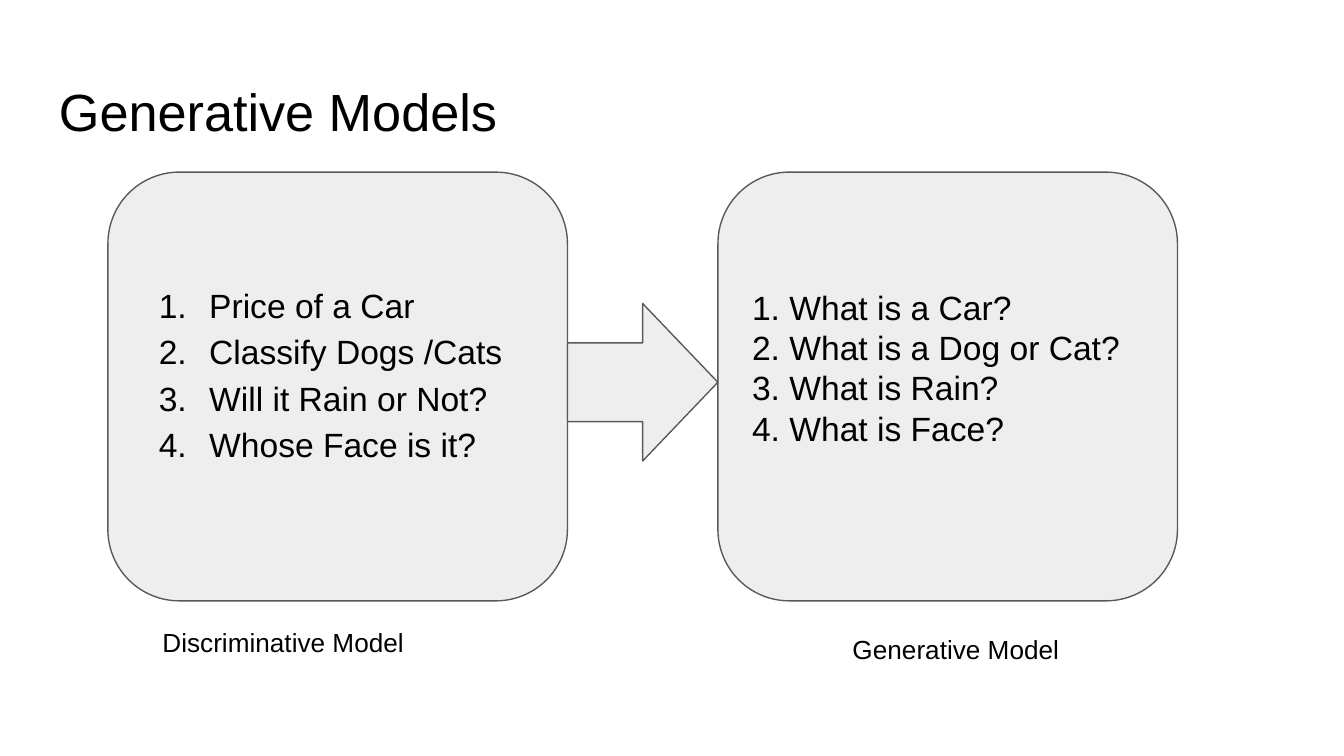
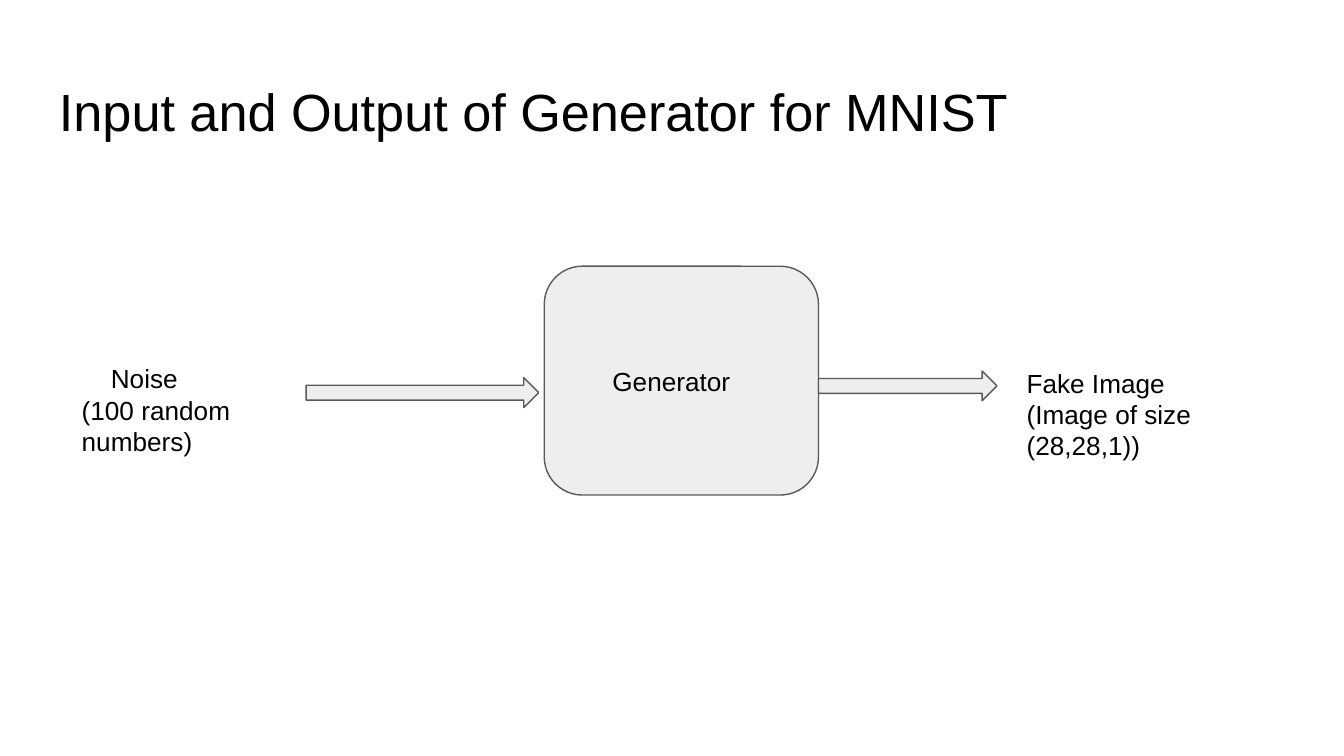
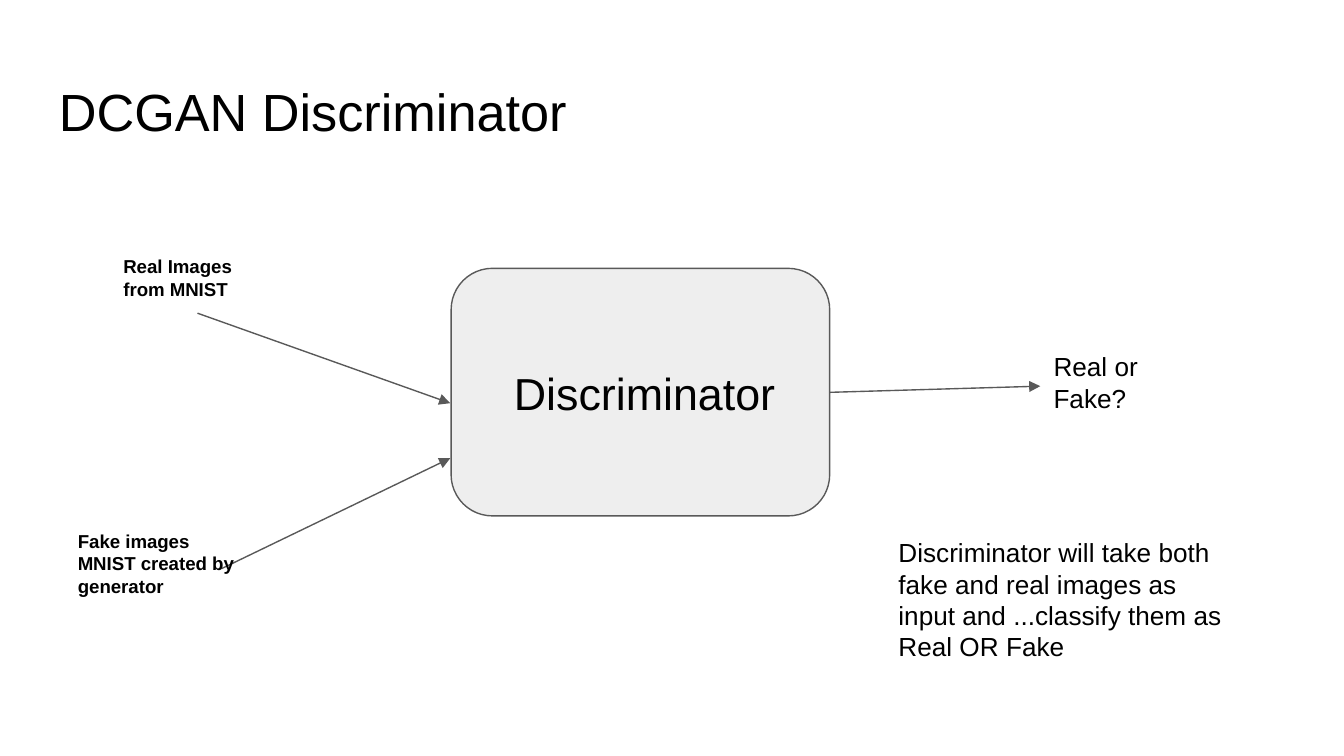
from dataclasses import dataclass

from lxml import etree
from pptx import Presentation
from pptx.dml.color import RGBColor
from pptx.enum import shapes, text
from pptx.oxml import ns
from pptx.util import Pt


@dataclass(frozen=True)
class Theme:
    font: str = "Arial"
    ink: str = "000000"
    fill: str = "EEEEEE"
    line: str = "595959"
    paper: str = "FFFFFF"
    line_width: float = 0.75
    inset: float = 7.2
    title: int = 28
    heading: int = 24
    items: int = 18
    label: int = 14
    small: int = 10


THEME = Theme()


def add_xml(parent, tag, **attributes):
    return etree.SubElement(parent, ns.qn(tag), attributes)


def number_paragraph(paragraph, margin=36, hanging=27):
    properties = paragraph._p.get_or_add_pPr()
    properties.set("marL", str(Pt(margin)))
    properties.set("indent", str(-Pt(hanging)))
    colour = add_xml(properties, "a:buClr")
    add_xml(colour, "a:srgbClr", val=THEME.ink)
    add_xml(properties, "a:buFont", typeface=THEME.font)
    add_xml(properties, "a:buAutoNum", type="arabicPeriod")


def write(shape, lines, size=THEME.label, bold=False, indent=0, numbered=False,
          spacing=1.0, anchor=text.MSO_ANCHOR.TOP, space_below=0):
    """Fill a shape with paragraphs; indent moves the first line of the text."""
    frame = shape.text_frame
    frame.word_wrap = True
    frame.vertical_anchor = anchor
    frame.margin_left = frame.margin_right = frame.margin_top = Pt(THEME.inset)
    frame.margin_bottom = Pt(THEME.inset + space_below)
    for index, line in enumerate(lines):
        paragraph = frame.add_paragraph() if index else frame.paragraphs[0]
        if numbered:
            number_paragraph(paragraph)
        elif indent and index == 0:
            paragraph._p.get_or_add_pPr().set("indent", str(Pt(indent)))
        paragraph.alignment = text.PP_ALIGN.LEFT
        paragraph.line_spacing = spacing
        run = paragraph.add_run()
        run.text = line
        run.font.name = THEME.font
        run.font.size = Pt(size)
        run.font.bold = bold
        run.font.color.rgb = RGBColor.from_string(THEME.ink)


class Deck:
    def __init__(self, theme):
        self.theme = theme
        self.presentation = Presentation()
        self.presentation.slide_width = Pt(720)
        self.presentation.slide_height = Pt(405)
        self.slide = None

    def new_slide(self, title):
        self.slide = self.presentation.slides.add_slide(self.presentation.slide_layouts[6])
        background = self.slide.background.fill
        background.solid()
        background.fore_color.rgb = RGBColor.from_string(self.theme.paper)
        self.label([title], 24.5, 35.3, 671, 45.4, size=self.theme.title)

    def label(self, lines, left, top, width, height, **style):
        box = self.slide.shapes.add_textbox(Pt(left), Pt(top), Pt(width), Pt(height))
        write(box, lines, **style)

    def preset(self, kind, left, top, width, height):
        shape = self.slide.shapes.add_shape(kind, Pt(left), Pt(top), Pt(width), Pt(height))
        shape.shadow.inherit = False
        shape.fill.solid()
        shape.fill.fore_color.rgb = RGBColor.from_string(self.theme.fill)
        self.outline(shape)
        return shape

    def outline(self, shape):
        shape.line.color.rgb = RGBColor.from_string(self.theme.line)
        shape.line.width = Pt(self.theme.line_width)

    def card(self, lines, left, top, width, height, **style):
        shape = self.preset(shapes.MSO_SHAPE.ROUNDED_RECTANGLE, left, top, width, height)
        write(shape, lines, anchor=text.MSO_ANCHOR.MIDDLE, **style)

    def block_arrow(self, left, top, width, height):
        self.preset(shapes.MSO_SHAPE.RIGHT_ARROW, left, top, width, height)

    def arrow(self, start, end):
        connector = self.slide.shapes.add_connector(
            shapes.MSO_CONNECTOR.STRAIGHT, *map(Pt, start + end))
        self.outline(connector)
        add_xml(connector.line._get_or_add_ln(), "a:tailEnd", type="triangle")
        add_xml(connector._element.spPr, "a:effectLst")


def generative_models(deck):
    deck.new_slide("Generative Models")
    left, top, width, height = 57.8, 92.2, 246.2, 229.7
    gap = 80.6
    questions = ["Price of a Car", "Classify Dogs /Cats",
                 "Will it Rain or Not?", "Whose Face is it?"]
    concepts = ["1. What is a Car?", "2. What is a Dog or Cat?",
                "3. What is Rain?", "4. What is Face?"]
    deck.card(questions, left, top, width, height, size=THEME.items,
              numbered=True, spacing=1.15, space_below=16)
    deck.card(concepts, left + width + gap, top, width, height,
              size=THEME.items, space_below=20.7)
    deck.block_arrow(left + width, 162.6, gap, 84.4)
    deck.label(["Discriminative Model"], 79.9, 328.3, 215.3, 26.6)
    deck.label(["Generative Model"], 406.8, 331.9, 223.9, 23.8, indent=42.8)


def generator_flow(deck):
    deck.new_slide("Input and Output of Generator for MNIST")
    left, width = 291.6, 146.9
    deck.card(["Generator"], left, 142.6, width, 122.6, indent=23.4)
    deck.block_arrow(left + width, 198.8, 95.6, 16)
    deck.block_arrow(164, 202.4, 124.6, 16)
    deck.label(["Noise", "(100 random numbers)"], 36.7, 187.2, 124.6, 62.6, indent=15.6)
    deck.label(["Fake Image", "(Image of size (28,28,1))"], 542.9, 189.4, 124.6, 49)


def discriminator_flow(deck):
    deck.new_slide("DCGAN Discriminator")
    left, width = 241.7, 202.8
    deck.card(["Discriminator"], left, 143.8, width, 132.6,
              size=THEME.heading, indent=20)
    for start, end in (((105.8, 167.8), (241.2, 216)),
                       ((118.8, 304.6), (241.2, 245.5)),
                       ((left + width, 210.2), (557.3, 206.9))):
        deck.arrow(start, end)
    for line, place in (("Real Images from MNIST", (59, 129.6, 87.8, 33.8)),
                        ("Fake images MNIST created by generator", (34.6, 276.5, 97.9, 73.4))):
        deck.label([line], *place, size=THEME.small, bold=True)
    deck.label(["Real or Fake?"], 557.3, 180.7, 82, 59)
    deck.label(["Discriminator will take both", "fake and real images as",
                "input and ...classify them as", "Real OR Fake"],
               474.2, 280.3, 195.8, 59)


def main():
    deck = Deck(THEME)
    for build in (generative_models, generator_flow, discriminator_flow):
        build(deck)
    deck.presentation.save("out.pptx")


if __name__ == "__main__":
    main()
